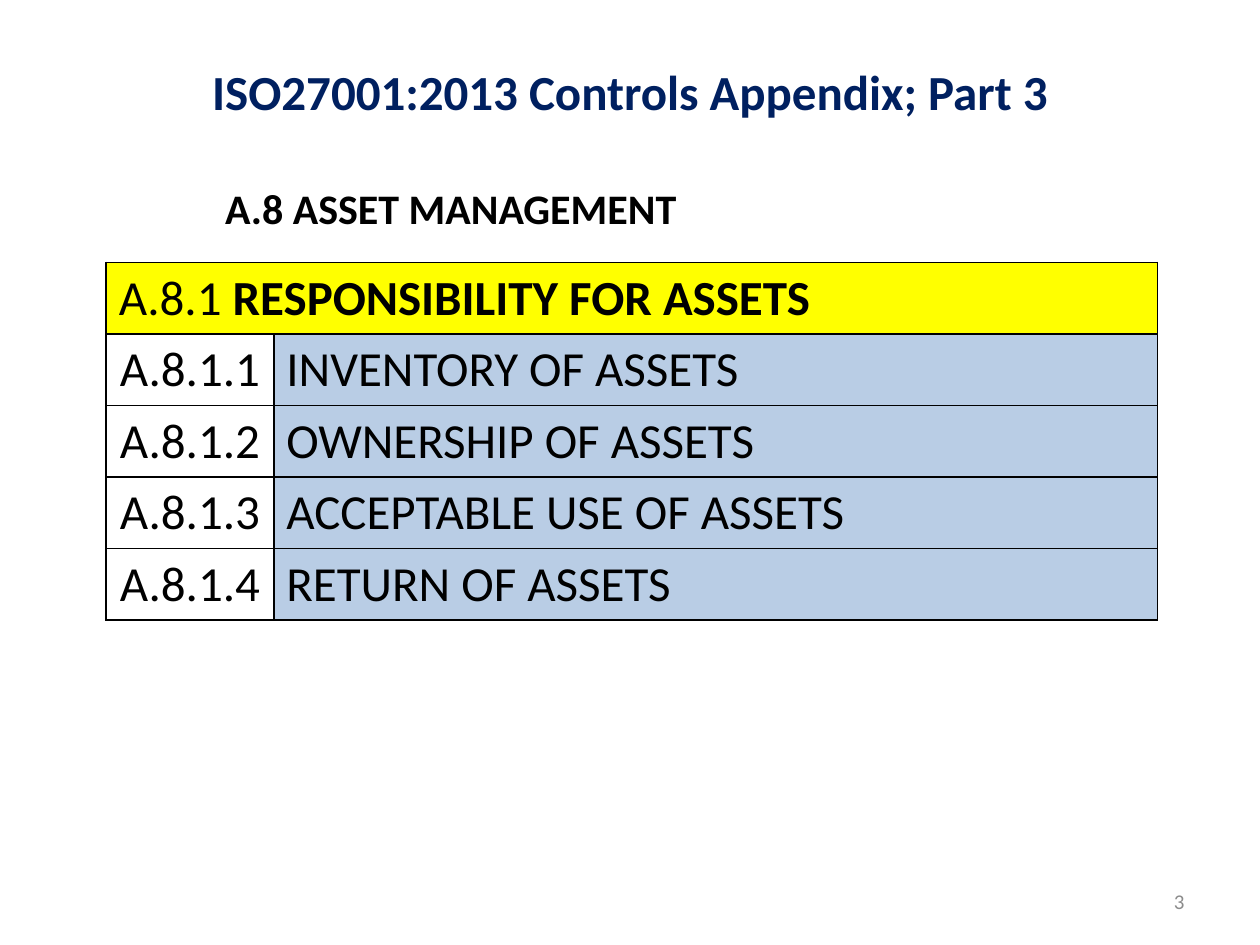
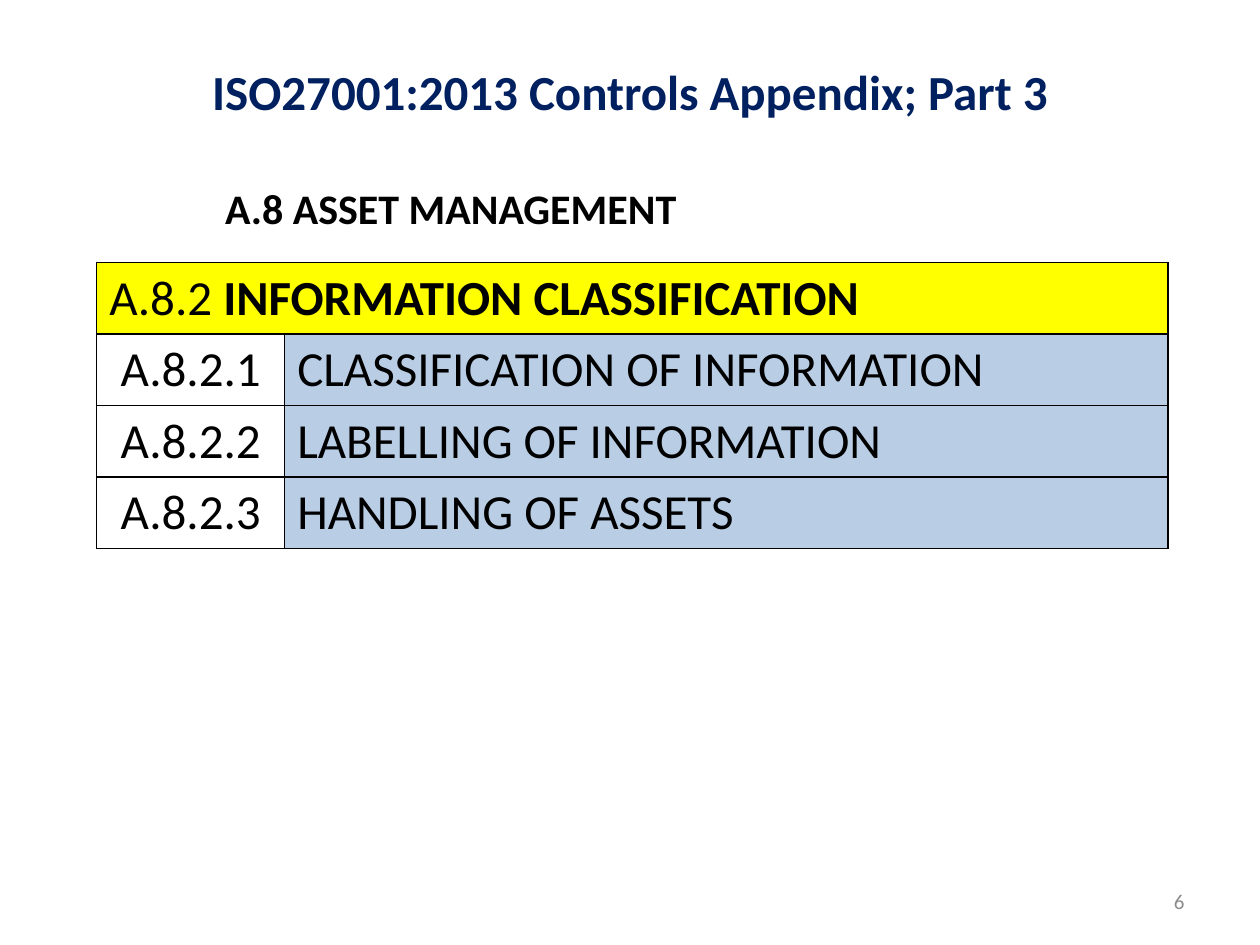
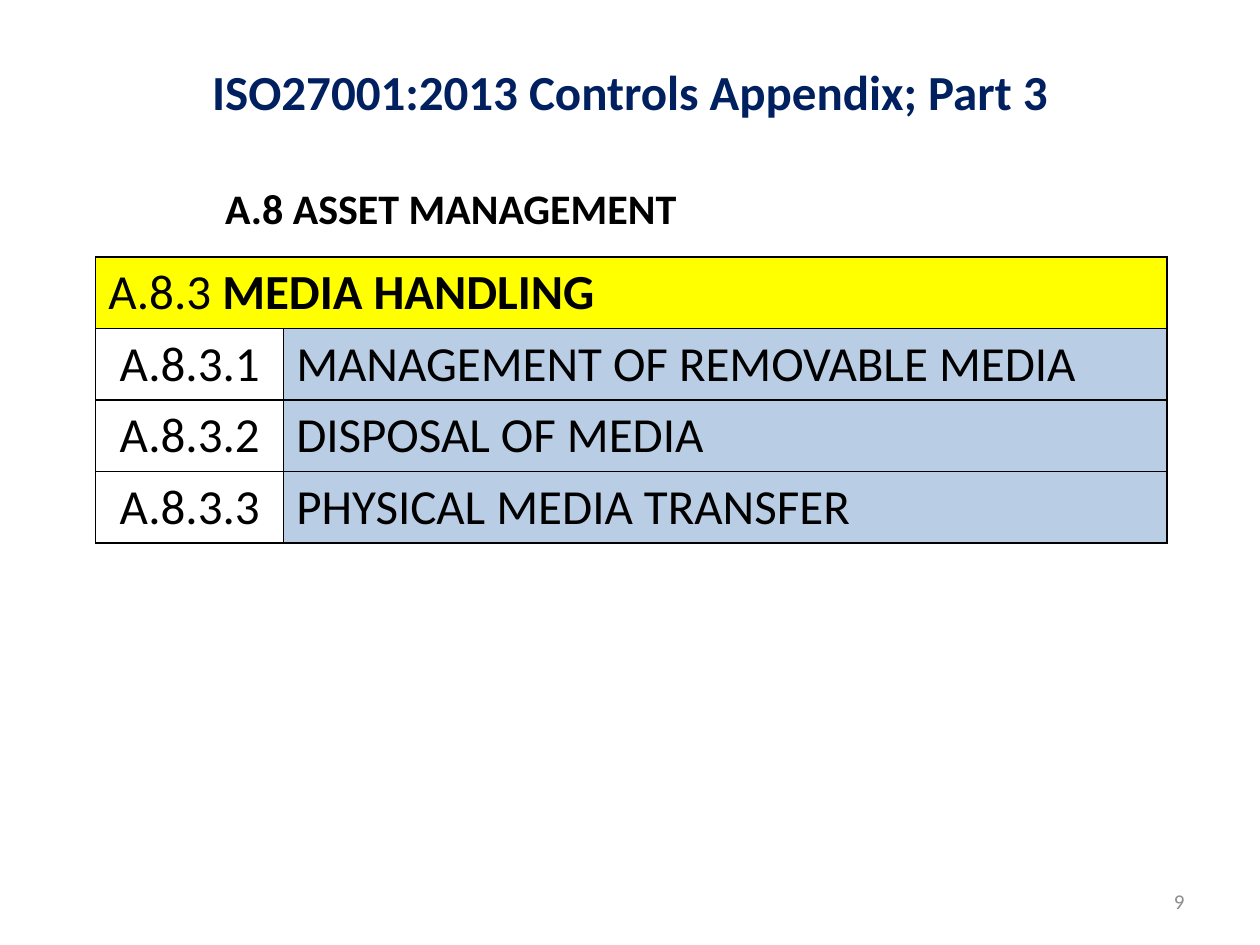
import pptx
import pptx.dml.color
import pptx.enum.text
import pptx.oxml
import pptx.oxml.ns
import pptx.util

Cm = pptx.util.Cm
Pt = pptx.util.Pt
ALIGN = pptx.enum.text.PP_ALIGN
ANCHOR = pptx.enum.text.MSO_ANCHOR

TITLE = "ISO27001:2013 Controls Appendix; Part 3"
TOPIC = "A.8 ASSET MANAGEMENT"

# page number, left, top, code column width, section code, section name, controls
PAGES = [
    (3, 2.14, 5.29, 3.38, "A.8.1", "RESPONSIBILITY FOR ASSETS",
     ["INVENTORY OF ASSETS", "OWNERSHIP OF ASSETS",
      "ACCEPTABLE USE OF ASSETS", "RETURN OF ASSETS"]),
    (6, 1.95, 5.29, 3.79, "A.8.2", "INFORMATION CLASSIFICATION",
     ["CLASSIFICATION OF INFORMATION", "LABELLING OF INFORMATION",
      "HANDLING OF ASSETS"]),
    (9, 1.93, 5.18, 3.79, "A.8.3", "MEDIA HANDLING",
     ["MANAGEMENT OF REMOVABLE MEDIA", "DISPOSAL OF MEDIA",
      "PHYSICAL MEDIA TRANSFER"]),
]


def color(code):
    return pptx.dml.color.RGBColor.from_string(code)


class Deck:
    FONT = "Calibri"
    NAVY = "002060"
    BLACK = "000000"
    GRAY = "8C8C8C"
    YELLOW = "FFFF00"
    BLUE = "B9CDE5"
    ROW = 1.44
    NAME_WIDTH = 17.81

    def __init__(self):
        self.file = pptx.Presentation()
        self.file.slide_width = Cm(25.4)
        self.file.slide_height = Cm(19.05)
        self.slide = None

    def page(self, number):
        """Start a slide with the shared title, topic and page number."""
        self.slide = self.file.slides.add_slide(self.file.slide_layouts[6])
        self.text(str(number), (18.2, 17.65, 5.93, 1.02), 12, self.GRAY,
                  align=ALIGN.RIGHT)
        self.text(TITLE, (1.27, 0.58, 22.86, 2.49), 28, self.NAVY, True,
                  ALIGN.CENTER)
        topic = self.text(TOPIC, (4.29, 3.56, 9.7, 1.27), 24, self.BLACK, True,
                          anchor=ANCHOR.TOP)
        topic.word_wrap = False
        topic.auto_size = pptx.enum.text.MSO_AUTO_SIZE.SHAPE_TO_FIT_TEXT

    def style(self, para, size, tint, bold=None, align=ALIGN.LEFT):
        para.alignment = align
        font = para.font
        font.name = self.FONT
        font.size = Pt(size)
        font.color.rgb = color(tint)
        font.bold = bold

    def text(self, words, place, size, tint, bold=False, align=ALIGN.LEFT,
             anchor=ANCHOR.MIDDLE):
        box = self.slide.shapes.add_textbox(*map(Cm, place))
        frame = box.text_frame
        frame.word_wrap = True
        frame.vertical_anchor = anchor
        para = frame.paragraphs[0]
        para.text = words
        self.style(para, size, tint, bold, align)
        return frame

    def border(self, cell):
        props = cell._tc.get_or_add_tcPr()
        for side in "LRTB":
            props.append(pptx.oxml.parse_xml(
                f'<a:ln{side} {pptx.oxml.ns.nsdecls("a")} w="{Pt(1)}">'
                f'<a:solidFill><a:srgbClr val="{self.BLACK}"/></a:solidFill>'
                f'</a:ln{side}>'))

    def cell(self, cell, words, fill=None, align=ALIGN.LEFT,
             anchor=ANCHOR.MIDDLE):
        self.border(cell)
        if fill:
            cell.fill.solid()
            cell.fill.fore_color.rgb = color(fill)
        else:
            cell.fill.background()
        cell.vertical_anchor = anchor
        para = cell.text_frame.paragraphs[0]
        para.text = words
        self.style(para, 28, self.BLACK, align=align)
        return para

    def table(self, left, top, code_width, code, name, items):
        """Draw a section heading row over its numbered controls."""
        count = len(items) + 1
        grid = self.slide.shapes.add_table(
            count, 2, Cm(left), Cm(top), Cm(code_width + self.NAME_WIDTH),
            Cm(self.ROW * count)).table
        grid.first_row = grid.horz_banding = False
        grid.columns[0].width = Cm(code_width)
        grid.columns[1].width = Cm(self.NAME_WIDTH)
        for row in grid.rows:
            row.height = Cm(self.ROW)

        head = grid.cell(0, 0)
        head.merge(grid.cell(0, 1))
        self.border(grid.cell(0, 1))
        para = self.cell(head, f"{code} ", self.YELLOW, anchor=ANCHOR.TOP)
        run = para.add_run()
        run.text = name
        run.font.bold = True

        for index, item in enumerate(items, 1):
            self.cell(grid.cell(index, 0), f"{code}.{index}",
                      align=ALIGN.CENTER)
            self.cell(grid.cell(index, 1), item, self.BLUE)


def main():
    deck = Deck()
    for number, *section in PAGES:
        deck.page(number)
        deck.table(*section)
    deck.file.save("out.pptx")


if __name__ == "__main__":
    main()
